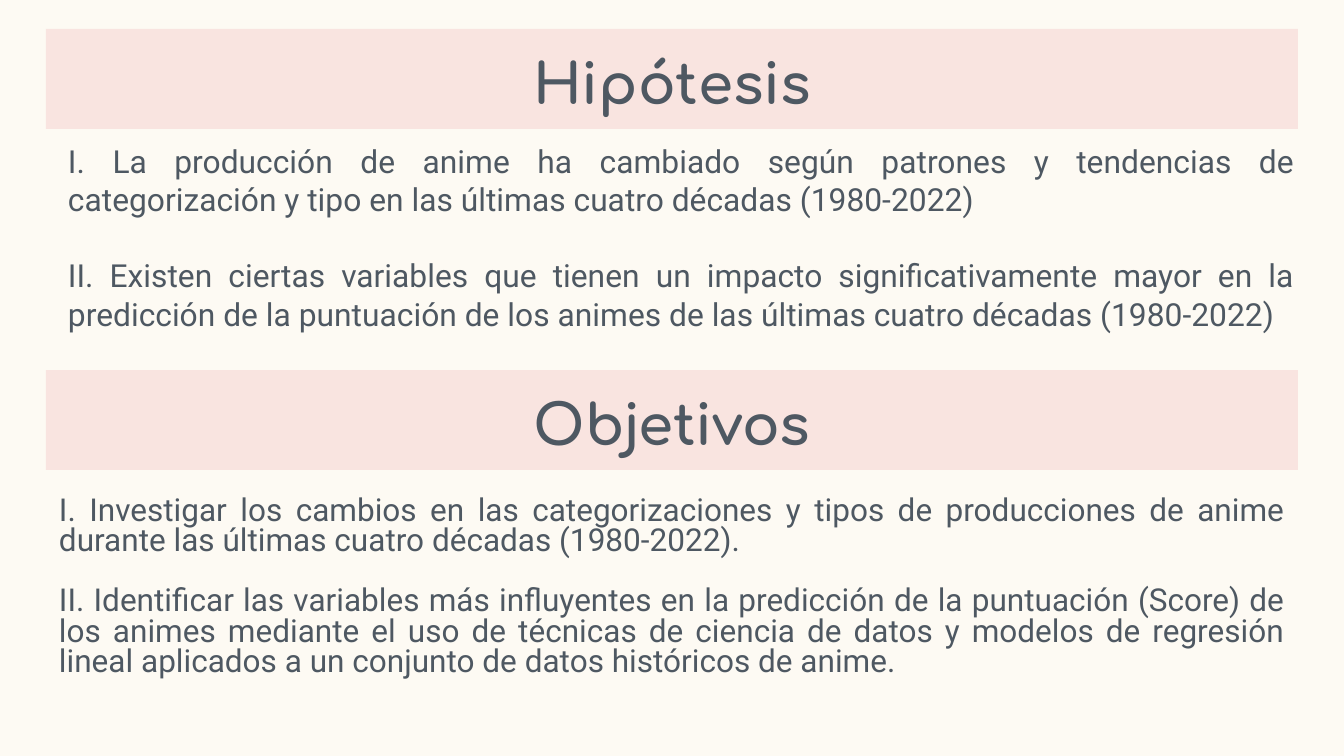
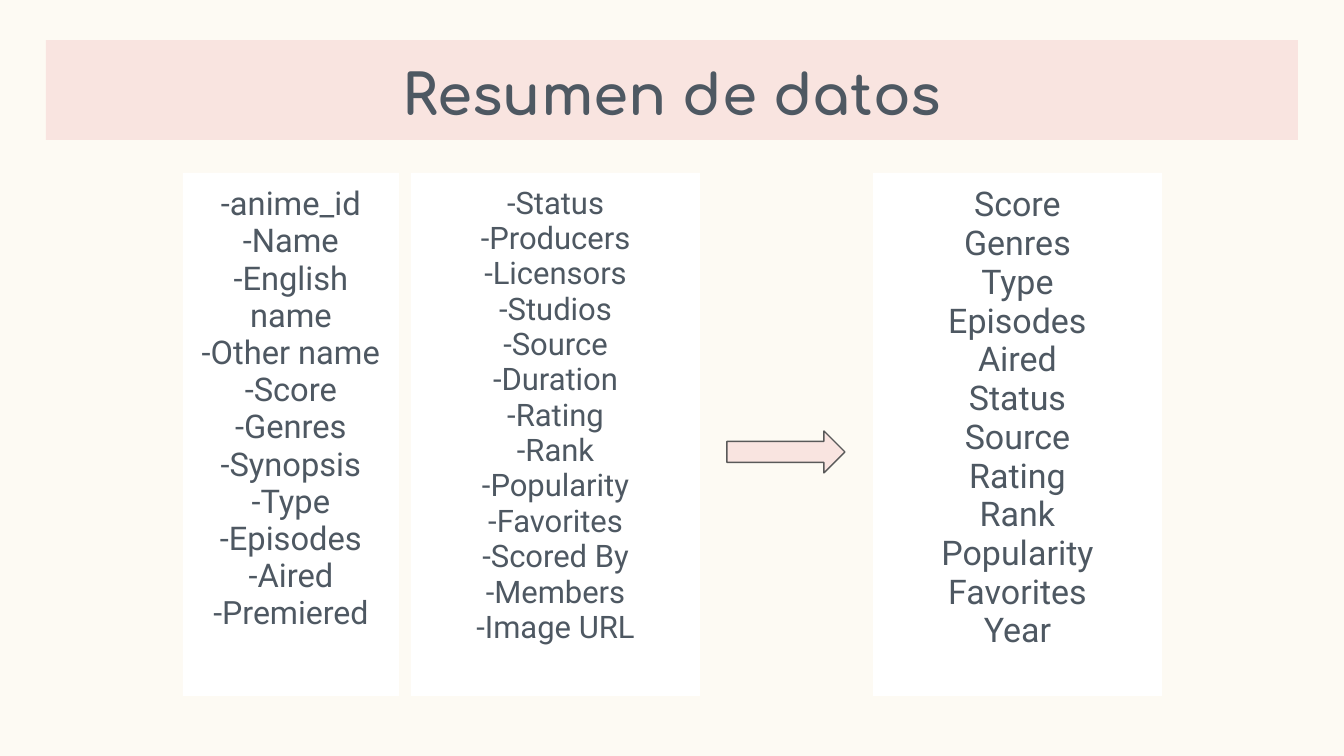
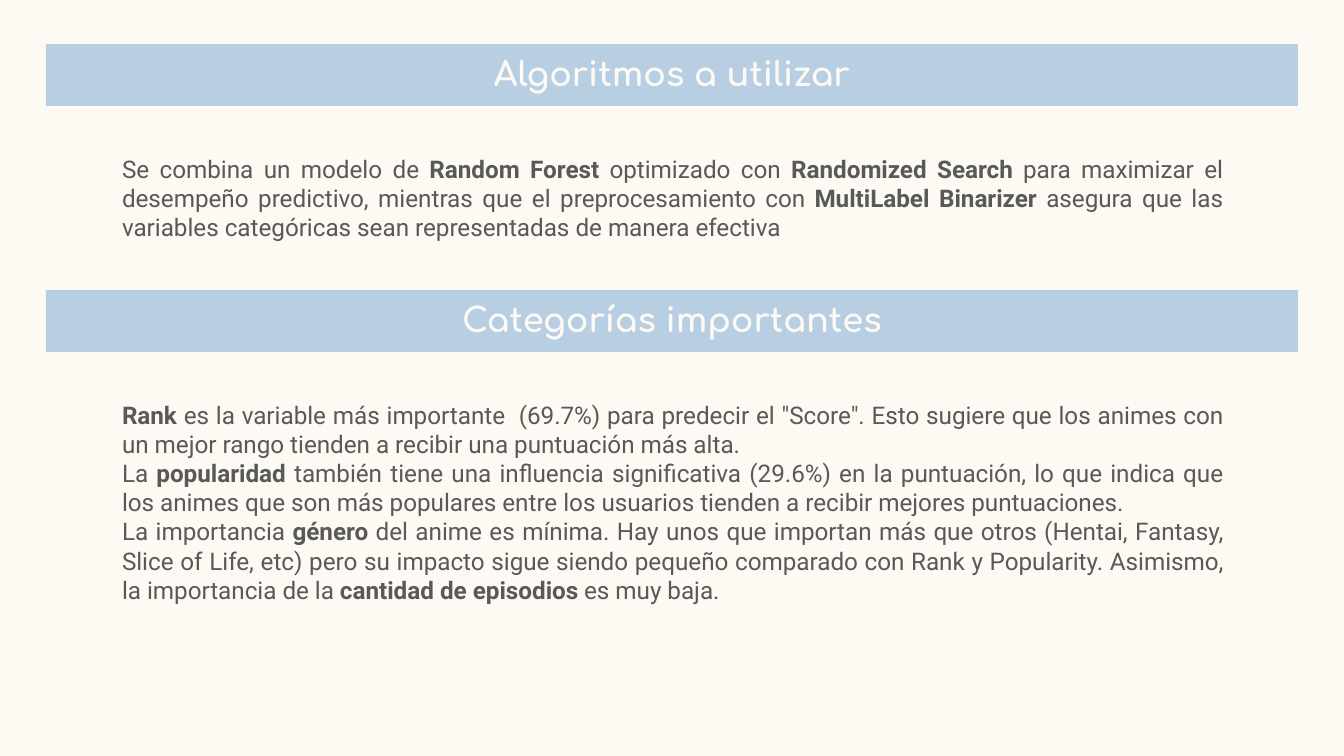
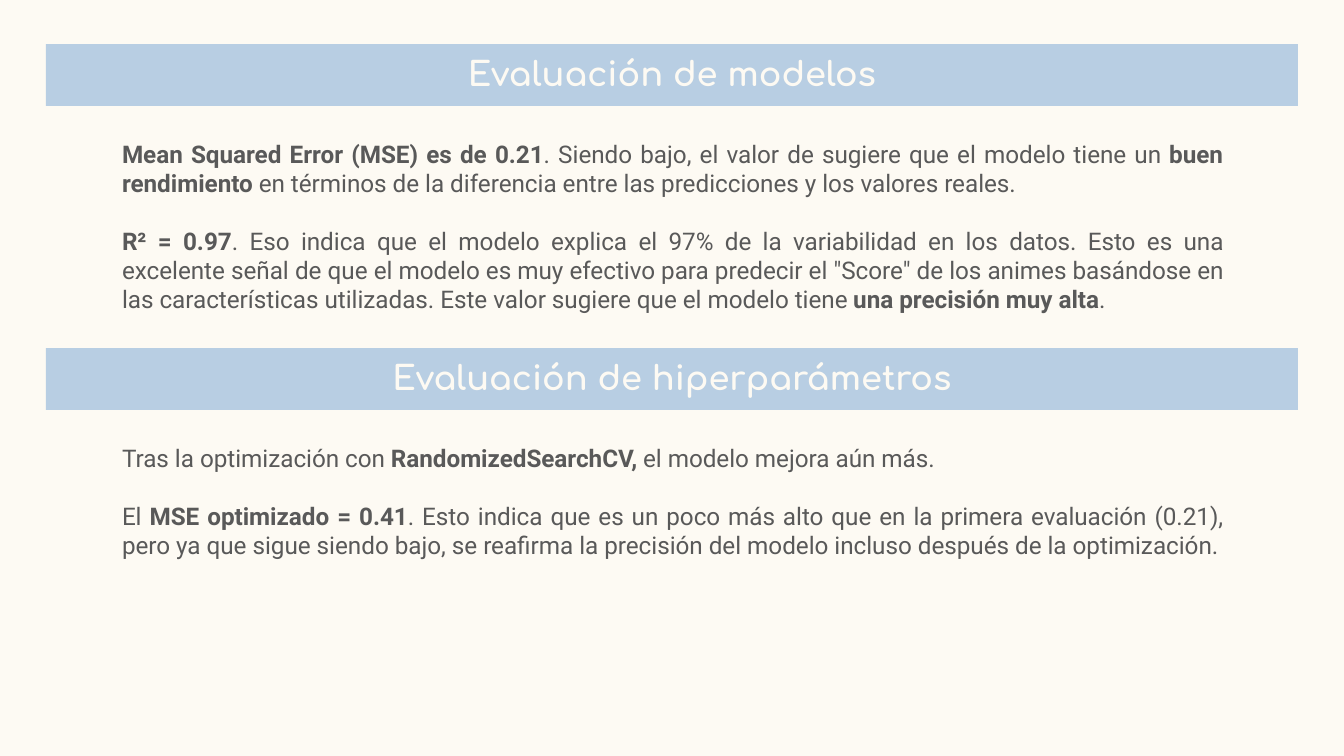
"""Build four slides on an anime score study: aims, data, methods and results."""
from lxml import etree
from pptx import Presentation
from pptx.dml.color import RGBColor
from pptx.enum.shapes import MSO_SHAPE
from pptx.enum.text import MSO_ANCHOR, MSO_AUTO_SIZE, PP_ALIGN
from pptx.oxml.ns import qn
from pptx.util import Pt

PX = 914400 / 134.4
MID, JUST = PP_ALIGN.CENTER, PP_ALIGN.JUSTIFY
TOP, LOW = MSO_ANCHOR.TOP, MSO_ANCHOR.BOTTOM
FIXED = MSO_AUTO_SIZE.NONE
ARROW = MSO_SHAPE.RIGHT_ARROW
HEX = {"cream": "FDFAF3", "pink": "F9E4E0", "blue": "B8CEE3",
       "slate": "4E5862", "gray": "595959", "white": "FFFFFF"}
RGB = {name: RGBColor.from_string(code) for name, code in HEX.items()}
PAD = 13
PLACE = ("left", "top", "width", "height")
SIDES = ("margin_left", "margin_top", "margin_right", "margin_bottom")

BIG = {"font": "Comfortaa", "size": 30, "color": "slate", "bold": True,
       "align": MID, "anchor": LOW, "fill": "pink"}
SMALL = BIG | {"size": 18, "color": "cream", "fill": "blue"}
BODY = {"font": "Roboto", "size": 13, "color": "gray", "bold": False,
        "align": JUST, "anchor": TOP}
AIM = BODY | {"size": 17, "color": "slate"}
LIST = AIM | {"align": MID, "fill": "white", "line": 0.95}


def px(num):
    """Turn px into EMU."""
    return round(num * PX)


def write(box, place, paras, form):
    """Place a box and write its paragraphs; stars mark bold words."""
    for key, num in zip(PLACE, place):
        setattr(box, key, px(num))
    if "fill" in form:
        box.fill.solid()
        box.fill.fore_color.rgb = RGB[form["fill"]]
    frame = box.text_frame
    setup = {"word_wrap": True, "auto_size": FIXED,
             "vertical_anchor": form["anchor"]}
    setup |= dict.fromkeys(SIDES, px(PAD))
    for key, val in setup.items():
        setattr(frame, key, val)
    for row, text in enumerate(paras):
        para = frame.add_paragraph() if row else frame.paragraphs[0]
        look = {"alignment": form["align"], "line_spacing": form.get("line", 1.0),
                "space_before": px(form.get("gap", 0) if row else 0),
                "space_after": 0}
        for key, val in look.items():
            setattr(para, key, val)
        props = para._p.get_or_add_pPr()
        props.set("marL", "0")
        props.set("indent", "0")
        etree.SubElement(props, qn("a:buNone"))
        for turn, part in enumerate(text.split("*")):
            if part:
                run = para.add_run()
                run.text = part
                style = {"name": form["font"], "size": Pt(form["size"]),
                         "bold": form["bold"] or turn % 2 == 1}
                for key, val in style.items():
                    setattr(run.font, key, val)
                run.font.color.rgb = RGB[form["color"]]


deck = Presentation()
deck.slide_width, deck.slide_height = px(1344), px(756)
back = deck.slide_master.background.fill
back.solid()
back.fore_color.rgb = RGB["cream"]

hypos = ["I. La producción de anime ha cambiado según patrones y tendencias de categorización y tipo en las últimas cuatro décadas (1980-2022)",
         "II. Existen ciertas variables que tienen un impacto significativamente mayor en la predicción de la puntuación de los animes de las últimas cuatro décadas (1980-2022)"]
goals = ["I. Investigar los cambios en las categorizaciones y tipos de producciones de anime durante las últimas cuatro décadas (1980-2022).",
         "II. Identificar las variables más influyentes en la predicción de la puntuación (Score) de los animes mediante el uso de técnicas de ciencia de datos y modelos de regresión lineal aplicados a un conjunto de datos históricos de anime."]
model = ["Se combina un modelo de *Random Forest* optimizado con *Randomized Search *para maximizar el desempeño predictivo, mientras que el preprocesamiento con *MultiLabel Binarizer *asegura que las variables categóricas sean representadas de manera efectiva"]
traits = ["*Rank *es la variable más importante  (69.7%) para predecir el \"Score\". Esto sugiere que los animes con un mejor rango tienden a recibir una puntuación más alta.",
          "La *popularidad *también tiene una influencia significativa (29.6%) en la puntuación, lo que indica que los animes que son más populares entre los usuarios tienden a recibir mejores puntuaciones.",
          "La importancia *género* del anime es mínima. Hay unos que importan más que otros (Hentai, Fantasy, Slice of Life, etc) pero su impacto sigue siendo pequeño comparado con Rank y Popularity. Asimismo, la importancia de la *cantidad de episodios *es muy baja."]
scores = ["*Mean Squared Error (MSE) es de 0.21*. Siendo bajo, el valor de sugiere que el modelo tiene un *buen rendimiento *en términos de la diferencia entre las predicciones y los valores reales.",
          "*R² = 0.97*. Eso indica que el modelo explica el 97% de la variabilidad en los datos. Esto es una excelente señal de que el modelo es muy efectivo para predecir el \"Score\" de los animes basándose en las características utilizadas. Este valor sugiere que el modelo tiene *una precisión muy alta*."]
tuned = ["Tras la optimización con *RandomizedSearchCV,* el modelo mejora aún más.",
         "El *MSE optimizado = 0.41*. Esto indica que es un poco más alto que en la primera evaluación (0.21), pero ya que sigue siendo bajo, se reafirma la precisión del modelo incluso después de la optimización."]
first = ["-anime_id", "-Name", "-English name", "-Other name", "-Score", "-Genres",
         "-Synopsis", "-Type", "-Episodes", "-Aired", "-Premiered"]
second = ["-Status", "-Producers", "-Licensors", "-Studios", "-Source", "-Duration",
          "-Rating", "-Rank", "-Popularity", "-Favorites", "-Scored By", "-Members",
          "-Image URL"]
kept = ["Score", "Genres", "Type", "Episodes", "Aired", "Status", "Source", "Rating",
        "Rank", "Popularity", "Favorites", "Year"]

pages = [
    [("Hipótesis", 29, BIG), ("Objetivos", 370, BIG),
     ((55, 129, 1253, 241), hypos, AIM | {"gap": 38}),
     ((46, 484, 1253, 263), goals, AIM | {"size": 16.9, "line": 0.8, "gap": 30})],
    [("Resumen de datos", 40, BIG),
     ((183, 173, 216, 523), first, LIST | {"size": 17.5}),
     ((411, 173, 289, 523), second, LIST | {"size": 16.6}),
     ((873, 173, 289, 523), kept, LIST | {"size": 18.2})],
    [("Algoritmos a utilizar", 44, SMALL), ("Categorías importantes", 290, SMALL),
     ((109, 141, 1127, 116), model, BODY),
     ((109, 387, 1127, 233), traits, BODY)],
    [("Evaluación de modelos", 44, SMALL), ("Evaluación de hiperparámetros", 348, SMALL),
     ((109, 126, 1127, 203), scores, BODY | {"gap": 29}),
     ((109, 430, 1127, 145), tuned, BODY | {"gap": 29})],
]

for page in pages:
    slide = deck.slides.add_slide(deck.slide_layouts[4])
    holds = list(slide.placeholders)
    for box, item in zip(holds, page):
        if isinstance(item[0], str):
            title, top, form = item
            tall = 100 if form is BIG else 62
            write(box, (46, top, 1252, tall), [title], form)
        else:
            write(box, *item)
    for box in holds[len(page):]:
        box.element.getparent().remove(box.element)

data = deck.slides[1]
last = data.placeholders[1].text_frame.paragraphs[-1]
last.runs[0].font.size = Pt(17.2)
arrow = data.shapes.add_shape(ARROW, px(727), px(431), px(118), px(42))
arrow.shadow.inherit = False
arrow.fill.solid()
arrow.fill.fore_color.rgb = RGB["pink"]
arrow.line.color.rgb = RGB["gray"]
arrow.line.width = Pt(0.75)

deck.save("out.pptx")
